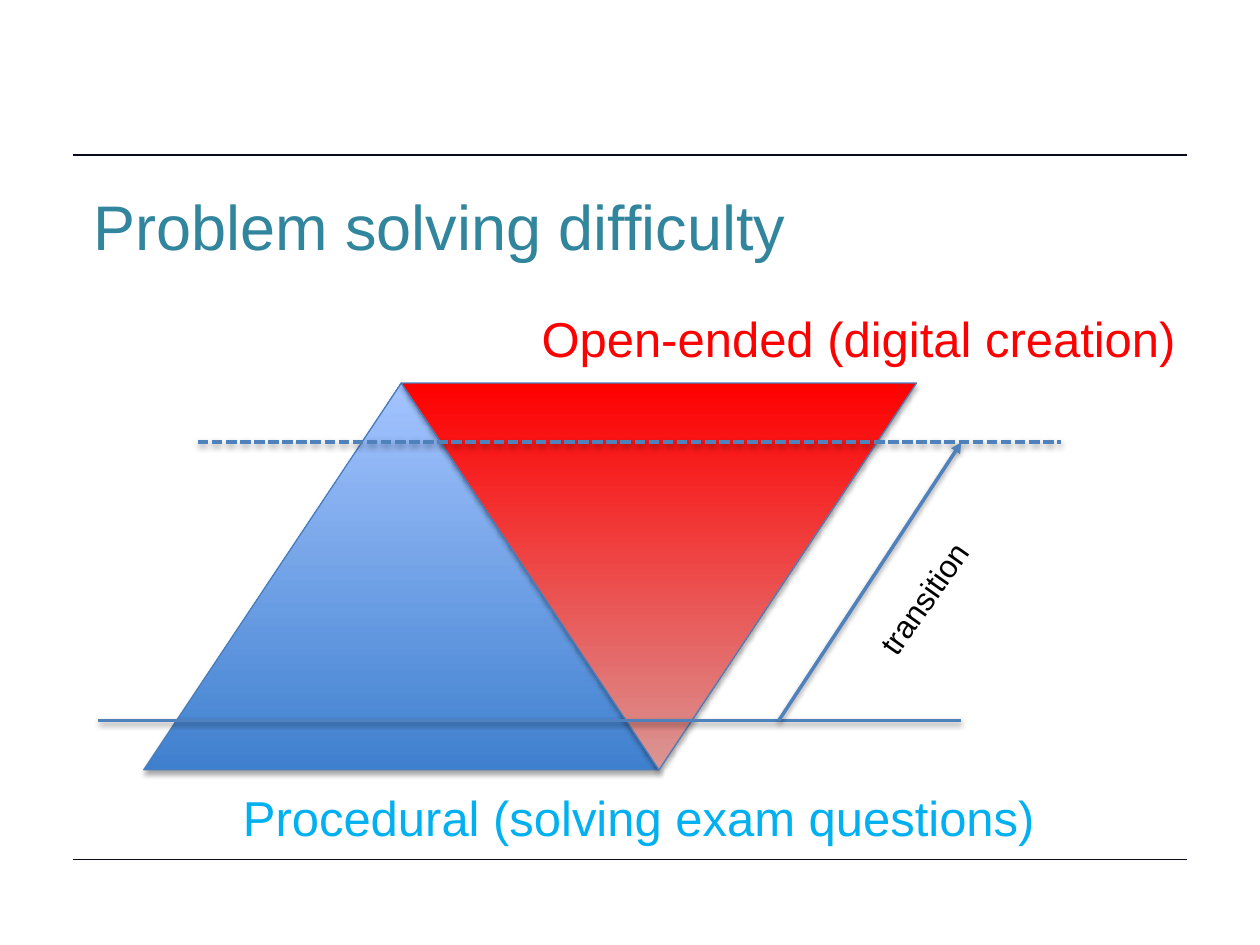
from lxml.etree import SubElement
from pptx import Presentation
from pptx.dml.color import RGBColor
from pptx.enum.dml import MSO_LINE_DASH_STYLE as Dash
from pptx.enum.shapes import MSO_CONNECTOR as Connector, MSO_SHAPE as Shape
from pptx.enum.text import MSO_ANCHOR as Anchor, MSO_AUTO_SIZE as AutoSize, PP_ALIGN as Align
from pptx.oxml.ns import qn
from pptx.util import Inches, Pt

INK = RGBColor(0x09, 0x09, 0x1E)
TEAL = RGBColor(0x31, 0x85, 0x9C)
CYAN = RGBColor(0x00, 0xB0, 0xF0)
RED = RGBColor(0xFF, 0x00, 0x00)
PINK = RGBColor(0xD9, 0x96, 0x94)
DEEP_BLUE = RGBColor(0x3F, 0x80, 0xCE)
PALE_BLUE = RGBColor(0xA4, 0xC4, 0xFF)
EDGE_BLUE = RGBColor(0x4B, 0x7E, 0xBC)
LINE_BLUE = RGBColor(0x4F, 0x81, 0xBD)
BLACK = RGBColor(0x00, 0x00, 0x00)
FONT = "Arial"


def add_shadow(shape, distance, opacity):
    effects = SubElement(shape._element.spPr, qn("a:effectLst"))
    shadow = SubElement(effects, qn("a:outerShdw"), blurRad=str(Pt(3.1)),
                        dist=str(Pt(distance)), dir="5400000", rotWithShape="0")
    tint = SubElement(shadow, qn("a:srgbClr"), val=str(BLACK))
    SubElement(tint, qn("a:alpha"), val=str(opacity * 1000))


def add_line(slide, start, end, color, width, dash=None, arrow=False, shadow=True):
    line = slide.shapes.add_connector(
        Connector.STRAIGHT, *[Inches(v) for v in (*start, *end)])
    line.line.color.rgb = color
    line.line.width = Pt(width)
    if dash:
        line.line.dash_style = dash
    if arrow:
        SubElement(line.line._get_or_add_ln(), qn("a:tailEnd"), type="triangle")
    if shadow:
        add_shadow(line, 1.6, 38)
    else:
        SubElement(line._element.spPr, qn("a:effectLst"))


def add_triangle(slide, box, base_color, tip_color, rotation=0):
    triangle = slide.shapes.add_shape(
        Shape.ISOSCELES_TRIANGLE, *[Inches(v) for v in box])
    triangle.rotation = rotation
    triangle.fill.gradient()
    triangle.fill.gradient_angle = 90
    for stop, color in zip(triangle.fill.gradient_stops, (base_color, tip_color)):
        stop.color.rgb = color
    triangle.line.color.rgb = EDGE_BLUE
    triangle.line.width = Pt(0.75)
    add_shadow(triangle, 1.8, 35)


def style_text(frame, text, size, color):
    frame.text = text
    font = frame.paragraphs[0].runs[0].font
    font.name, font.size, font.color.rgb = FONT, Pt(size), color


def add_label(slide, box, text, size, color, rotation=0):
    label = slide.shapes.add_textbox(*[Inches(v) for v in box])
    label.rotation = rotation
    label.text_frame.word_wrap = False
    label.text_frame.auto_size = AutoSize.SHAPE_TO_FIT_TEXT
    style_text(label.text_frame, text, size, color)


def add_frame(slide, left, right, top, bottom):
    for y in (top, bottom):
        add_line(slide, (left, y), (right, y), INK, 0.75, shadow=False)


def add_title(slide, box):
    title = slide.shapes.title
    title.left, title.top, title.width, title.height = [Inches(v) for v in box]
    frame = title.text_frame
    frame.vertical_anchor = Anchor.TOP
    frame.margin_left, frame.margin_top = Inches(0.07), Inches(0.1)
    style_text(frame, "Problem solving difficulty", 36, TEAL)
    frame.paragraphs[0].alignment = Align.LEFT


def add_difficulty_diagram(slide, left, top, base, height):
    add_triangle(slide, (left, top, base, height), DEEP_BLUE, PALE_BLUE)
    add_triangle(slide, (left + base / 2, top, base, height), RED, PINK, 180)

    lower, upper, reach = top + 2.68, top + 0.47, 6.85
    lower_left, upper_left = left - 0.36, left + 0.43
    lower_right = lower_left + reach
    add_line(slide, (lower_left, lower), (lower_right, lower), LINE_BLUE, 2)
    add_line(slide, (upper_left, upper), (upper_left + reach, upper),
             LINE_BLUE, 2, dash=Dash.SQUARE_DOT)

    add_label(slide, (left + 0.69, top + height + 0.09, 6.57, 0.57),
              "Procedural (solving exam questions)", 28, CYAN)
    add_label(slide, (left + 3.06, top - 0.64, 5.3, 0.57),
              "Open-ended (digital creation)", 28, RED)

    add_line(slide, (lower_right - 1.45, lower), (lower_right, upper),
             LINE_BLUE, 2, arrow=True)
    add_label(slide, (left + 5.58, top + 1.5, 1.23, 0.4),
              "transition", 18, BLACK, rotation=305.2)


def main():
    deck = Presentation()
    deck.slide_width, deck.slide_height = Inches(10), Inches(7.5)
    slide = deck.slides.add_slide(deck.slide_layouts[5])
    add_frame(slide, 0.58, 9.42, 1.23, 6.82)
    add_title(slide, (0.67, 1.39, 8.35, 1.04))
    add_difficulty_diagram(slide, 1.14, 3.04, 4.09, 3.07)
    deck.save("out.pptx")


if __name__ == "__main__":
    main()
